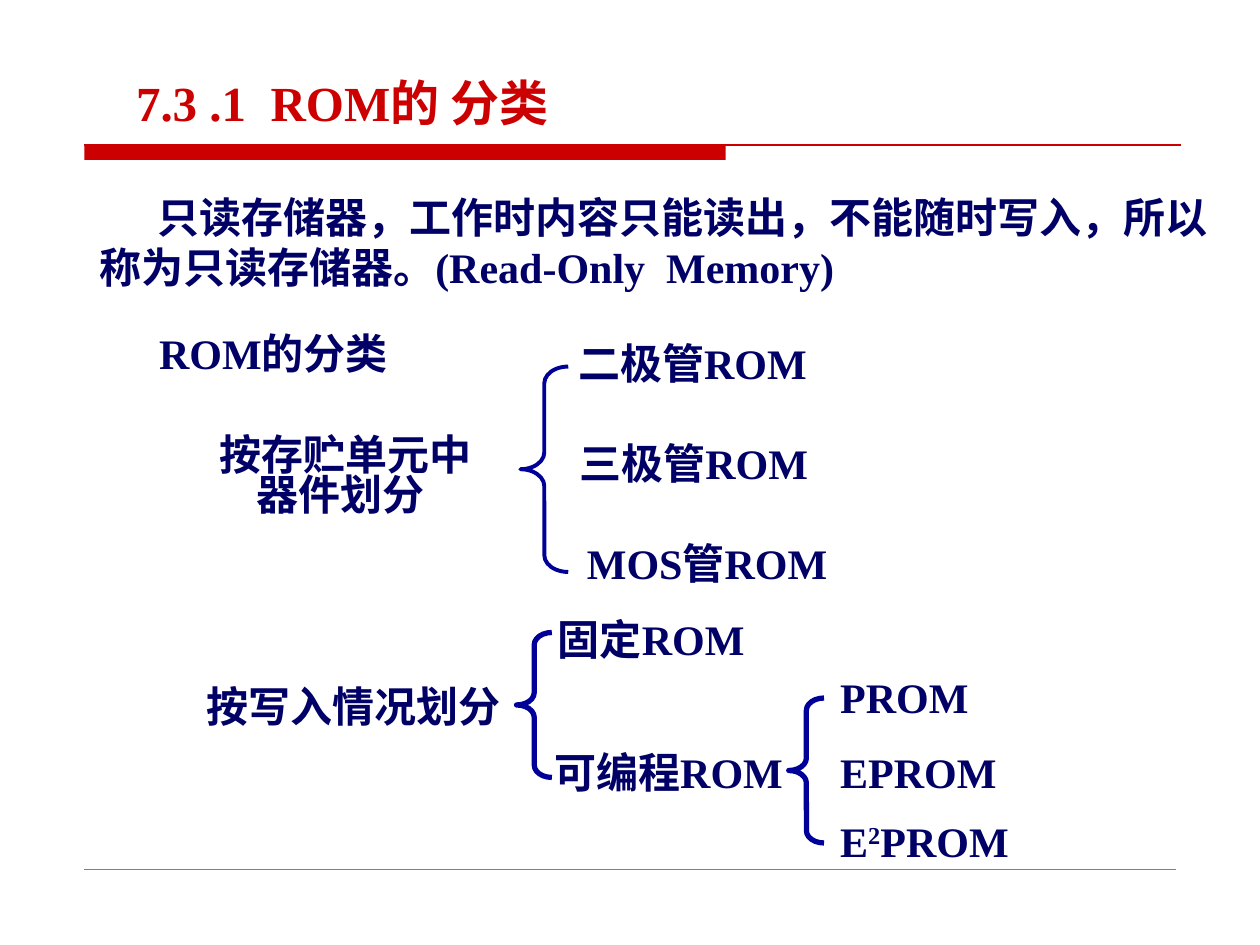
from lxml.etree import SubElement
from pptx import Presentation
from pptx.dml.color import RGBColor
from pptx.enum.shapes import MSO_CONNECTOR, MSO_SHAPE
from pptx.enum.text import MSO_ANCHOR, MSO_AUTO_SIZE, PP_ALIGN
from pptx.oxml.ns import qn
from pptx.util import Inches, Pt

RED = RGBColor(0xCC, 0x00, 0x00)
NAVY = RGBColor(0x00, 0x00, 0x66)
BLUE = RGBColor(0x00, 0x00, 0x99)
GRAY = RGBColor(0x80, 0x80, 0x80)
COLS, ROWS = 100, 75
FACE = {"name": "Times New Roman", "bold": True}
BODY = FACE | {"size": Pt(24)}
HEAD = FACE | {"size": Pt(28)}


def apply(item, values):
    for name, value in values.items():
        setattr(item, name, value)


class Board:
    def __init__(self, deck):
        self.slide = deck.slides.add_slide(deck.slide_layouts[5])
        self.shapes = self.slide.shapes
        self.col = deck.slide_width / COLS
        self.row = deck.slide_height / ROWS

    def place(self, x, y, w, h):
        return (round(x * self.col), round(y * self.row),
                round(w * self.col), round(h * self.row))

    def fill(self, frame, runs, font, color, para):
        apply(frame, {"word_wrap": True, "auto_size": MSO_AUTO_SIZE.NONE})
        line = frame.paragraphs[0]
        apply(line, para)
        for text, base in runs:
            run = line.add_run()
            run.text = text
            apply(run.font, font)
            run.font.color.rgb = color
            if base:
                run._r.get_or_add_rPr().set("baseline", str(base * 1000))

    def title(self, text, *box):
        head = self.shapes.title
        names = ("left", "top", "width", "height")
        apply(head, dict(zip(names, self.place(*box))))
        head.text_frame.vertical_anchor = MSO_ANCHOR.BOTTOM
        self.fill(head.text_frame, [(text, 0)], HEAD, RED,
                  {"alignment": PP_ALIGN.LEFT})

    def text(self, words, *box, indent=0, **para):
        runs = [(words, 0)] if isinstance(words, str) else words
        frame = self.shapes.add_textbox(*self.place(*box)).text_frame
        self.fill(frame, runs, BODY, NAVY, para)
        if indent:
            props = frame.paragraphs[0]._p.get_or_add_pPr()
            props.set("marL", "0")
            props.set("indent", str(round(indent * self.col)))

    def brace(self, weight, *box):
        shape = self.shapes.add_shape(MSO_SHAPE.LEFT_BRACE, *self.place(*box))
        shape.adjustments[0] = 0.35
        shape.shadow.inherit = False
        shape.fill.background()
        shape.line.color.rgb = BLUE
        shape.line.width = Pt(weight)

    def bar(self, *box):
        shape = self.shapes.add_shape(MSO_SHAPE.RECTANGLE, *self.place(*box))
        shape.shadow.inherit = False
        shape.fill.solid()
        shape.fill.fore_color.rgb = RED
        shape.line.fill.background()

    def rule(self, x, y, w, color, weight):
        left, top, width, _ = self.place(x, y, w, 0)
        line = self.shapes.add_connector(
            MSO_CONNECTOR.STRAIGHT, left, top, left + width, top)
        line.line.color.rgb = color
        line.line.width = Pt(weight)
        SubElement(line._element.spPr, qn("a:effectLst"))


def main():
    deck = Presentation()
    apply(deck, {"slide_width": Inches(10), "slide_height": Inches(7.5)})
    board = Board(deck)

    board.title("7.3 .1  ROM的 分类", 9.8, 5.2, 80.7, 5.7)
    board.bar(6.7, 11.5, 50.9, 1.2)
    board.rule(6.7, 11.5, 87, RED, 0.75)
    board.rule(6.7, 69, 86.6, GRAY, 0.25)

    board.text("只读存储器，工作时内容只能读出，不能随时写入，"
               "所以称为只读存储器。(Read-Only  Memory)",
               6.9, 14.7, 90.3, 9.7, indent=4.6)
    board.text("ROM的分类", 5.1, 25.5, 33.2, 5, alignment=PP_ALIGN.CENTER)

    board.text("按存贮单元中器件划分 ", 15, 34.3, 24.8, 7.4,
               alignment=PP_ALIGN.CENTER, line_spacing=0.8)
    board.brace(2.25, 41.3, 29.1, 3.8, 16.3)
    parts = (("二极管ROM", 44.9), ("三极管ROM", 45), ("MOS管ROM", 45.6))
    for step, (name, x) in enumerate(parts):
        board.text(name, x, 26.3 + 7.95 * step, 25.1, 5)

    power = [("E", 0), ("2", 30), ("PROM", 0)]
    for words, x, y, w in (
            ("按写入情况划分", 15.4, 54.3, 30.5),
            ("固定ROM", 43.3, 49, 18.6),
            ("可编程ROM", 43, 59.5, 23.2),
            ("PROM", 65.7, 53.6, 18.6),
            ("EPROM", 65.7, 59.5, 18.6),
            (power, 65.7, 65, 18.6)):
        board.text(words, x, y, w, 4.2, line_spacing=0.8)
    for x, y in ((41, 50.2), (62.6, 55.4)):
        board.brace(3, x, y, 2.8, 11.5)

    deck.save("out.pptx")


if __name__ == "__main__":
    main()
